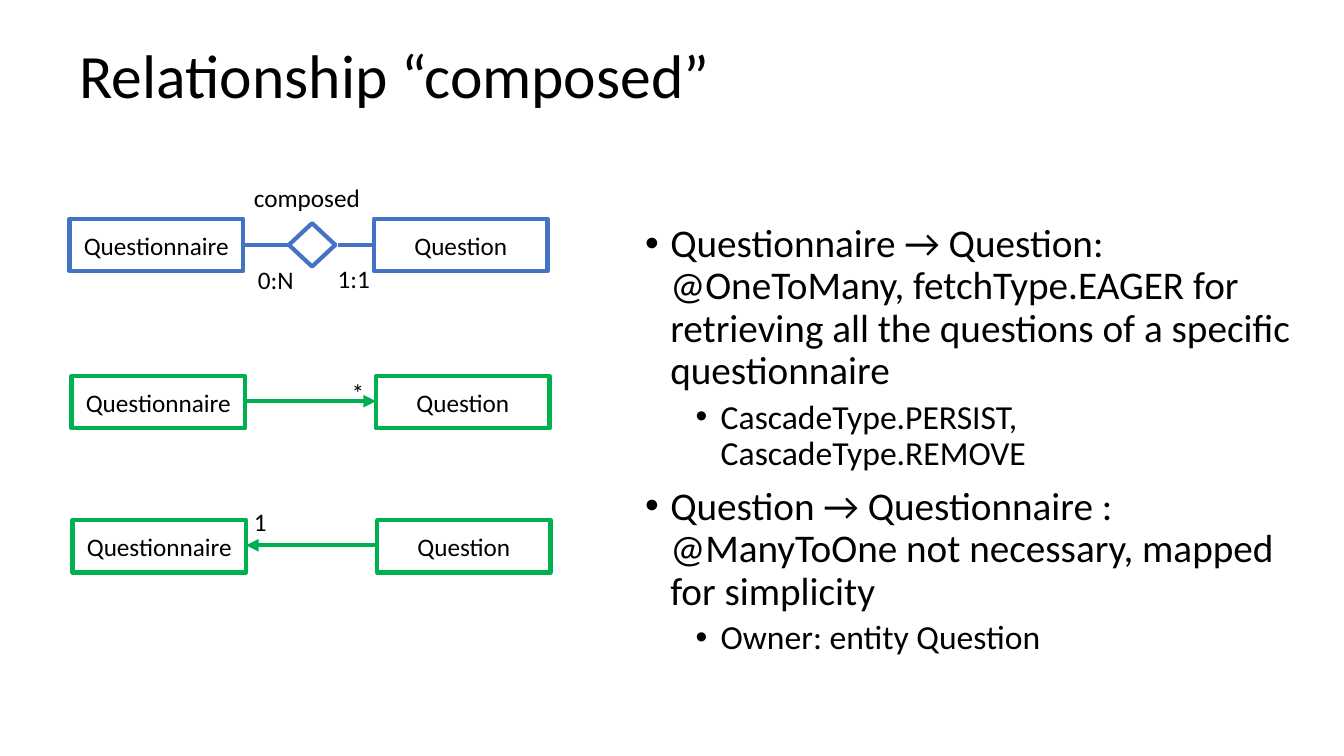
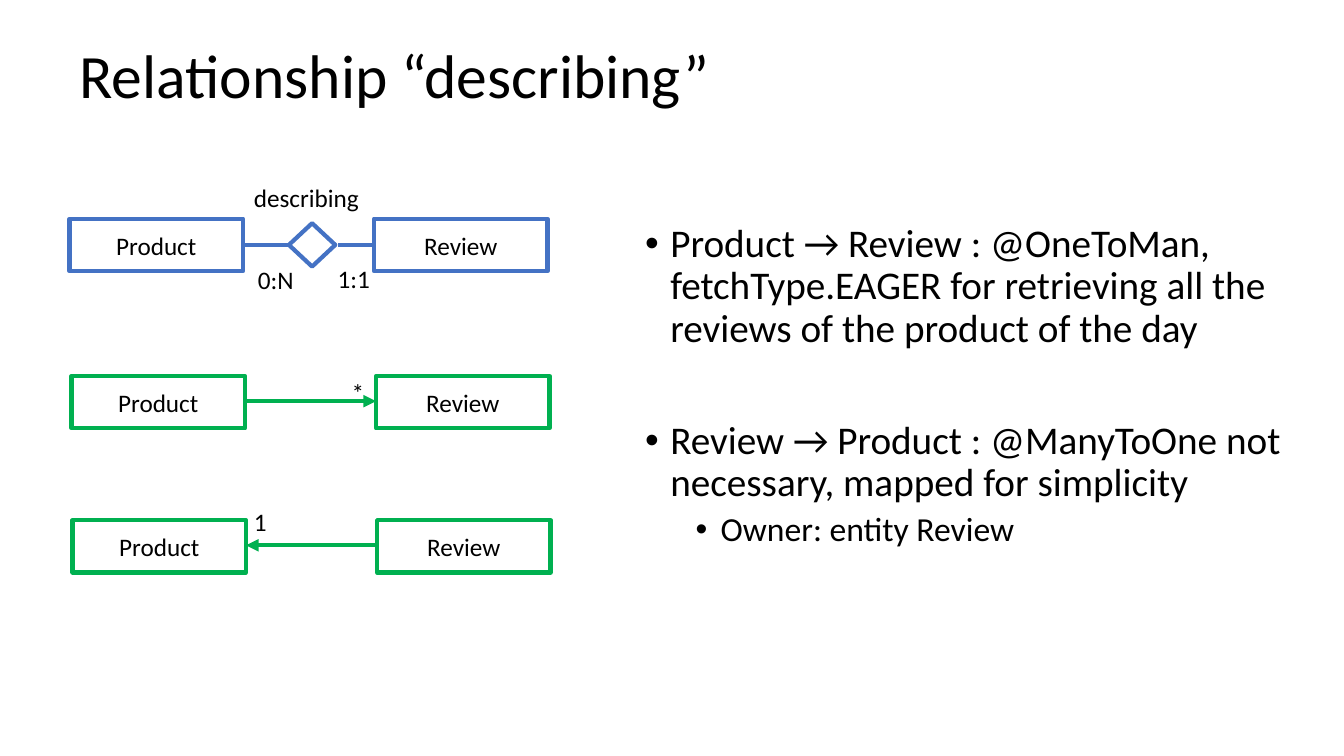
import pptx
import pptx.util
import pptx.dml.color
import pptx.enum.shapes
import pptx.enum.text
import pptx.oxml
import pptx.oxml.ns

Inches = pptx.util.Inches
Pt = pptx.util.Pt
FONT = "Calibri"
BLACK, WHITE, BLUE, GREEN = "000000", "FFFFFF", "4472C4", "00B050"
NODE_WIDTH, NODE_HEIGHT, NODE_STEP = 1.72, 0.52, 3.02
LEVELS = [
    {"size": 28, "indent": 0.25, "space": 10},
    {"size": 24, "indent": 0.75, "space": 5},
]


def color(value):
    """Turn a hex string into a colour."""
    return pptx.dml.color.RGBColor.from_string(value)


def add_element(parent, tag, **attributes):
    """Append a drawing element with attributes to a parent element."""
    element = pptx.oxml.parse_xml(f"<a:{tag} {pptx.oxml.ns.nsdecls('a')}/>")
    for name, value in attributes.items():
        element.set(name, str(value))
    parent.append(element)


def write(paragraph, text, size=18, align=None, spacing=None, before=None):
    """Write formatted text into a paragraph."""
    run = paragraph.add_run()
    run.text = text
    run.font.name = FONT
    run.font.size = Pt(size)
    run.font.color.rgb = color(BLACK)
    paragraph.alignment = align
    paragraph.line_spacing = spacing
    if before is not None:
        paragraph.space_before = Pt(before)


def add_text_box(slide, left, top, width, height, wrap=True):
    """Add an empty text box and return its text frame."""
    box = slide.shapes.add_textbox(Inches(left), Inches(top), Inches(width), Inches(height))
    box.text_frame.word_wrap = wrap
    return box.text_frame


def add_label(slide, text, left, top, width):
    """Add a small unwrapped diagram label."""
    frame = add_text_box(slide, left, top, width, 0.4, wrap=False)
    frame.auto_size = pptx.enum.text.MSO_AUTO_SIZE.SHAPE_TO_FIT_TEXT
    write(frame.paragraphs[0], text)


def add_outline(slide, kind, left, top, width, height, line, fill=None):
    """Add an outlined preset shape."""
    shape = slide.shapes.add_shape(kind, Inches(left), Inches(top), Inches(width), Inches(height))
    shape.shadow.inherit = False
    if fill:
        shape.fill.solid()
        shape.fill.fore_color.rgb = color(fill)
    else:
        shape.fill.background()
    shape.line.color.rgb = color(line)
    shape.line.width = Pt(3)
    return shape


def add_line(slide, start, end, y, line, width, arrow=False):
    """Add a horizontal line, with an arrowhead at its end if asked."""
    connector = slide.shapes.add_connector(
        pptx.enum.shapes.MSO_CONNECTOR.STRAIGHT, Inches(start), Inches(y), Inches(end), Inches(y))
    connector.line.color.rgb = color(line)
    connector.line.width = Pt(width)
    if arrow:
        add_element(connector.line._get_or_add_ln(), "tailEnd", type="triangle")
    add_element(connector._element.spPr, "effectLst")


def add_entities(slide, names, left, top, line, fill=None):
    """Add the pair of entity rectangles of one diagram row."""
    for index, name in enumerate(names):
        node = add_outline(slide, pptx.enum.shapes.MSO_SHAPE.RECTANGLE,
                           left + index * NODE_STEP, top, NODE_WIDTH, NODE_HEIGHT, line, fill)
        node.text_frame.word_wrap = True
        node.text_frame.vertical_anchor = pptx.enum.text.MSO_ANCHOR.MIDDLE
        write(node.text_frame.paragraphs[0], name, align=pptx.enum.text.PP_ALIGN.CENTER)


def add_relationship(slide, names, relation, left, top):
    """Add the entity-relationship row with its diamond and cardinalities."""
    add_entities(slide, names, left, top, BLUE, WHITE)
    diamond = add_outline(slide, pptx.enum.shapes.MSO_SHAPE.DIAMOND,
                          left + 2.19, top + 0.03, 0.43, 0.46, BLUE, WHITE)
    diamond.rotation = 90
    middle = top + NODE_HEIGHT / 2
    add_line(slide, left + NODE_STEP, left + 2.66, middle, BLUE, 2.25)
    add_line(slide, left + 2.17, left + NODE_WIDTH, middle, BLUE, 2.25)
    add_label(slide, "1:1", left + 2.56, top + 0.39, 0.53)
    add_label(slide, "0:N", left + 1.77, top + 0.4, 0.56)
    add_label(slide, relation, left + 1.73, top - 0.41, 1.27)


def add_direction(slide, names, left, top, forward):
    """Add a row whose arrow shows one direction of the mapping."""
    add_entities(slide, names, left, top, GREEN)
    ends = (left + NODE_WIDTH, left + NODE_STEP)
    start, end = ends if forward else ends[::-1]
    add_line(slide, start, end, top + 0.25, GREEN, 3, arrow=True)
    if forward:
        add_label(slide, "*", left + 2.68, top - 0.04, 0.33)
    else:
        add_label(slide, "1", left + 1.7, top - 0.19, 0.33)


def add_title(slide, text, left, top, width, height):
    """Add the slide title."""
    frame = add_text_box(slide, left, top, width, height)
    write(frame.paragraphs[0], text, size=44, spacing=0.9)


def add_bullets(slide, bullets, left, top, width, height):
    """Add bullets given as level, text and extra space before."""
    frame = add_text_box(slide, left, top, width, height)
    for index, (level, text, extra) in enumerate(bullets):
        paragraph = frame.add_paragraph() if index else frame.paragraphs[0]
        style = LEVELS[level]
        write(paragraph, text, size=style["size"], spacing=0.9, before=style["space"] + extra)
        paragraph.level = level
        properties = paragraph._p.get_or_add_pPr()
        properties.set("marL", str(Inches(style["indent"])))
        properties.set("indent", str(-Inches(0.25)))
        add_element(properties, "buFont", typeface="Arial")
        add_element(properties, "buChar", char="•")


def add_relationship_slide(presentation, relation, names, bullets):
    """Add one slide that explains a relationship between two entities."""
    slide = presentation.slides.add_slide(presentation.slide_layouts[6])
    add_title(slide, f"Relationship “{relation}”", 0.69, 0.4, 8.62, 0.79)
    add_bullets(slide, bullets, 6.3, 2.17, 6.65, 4.66)
    add_relationship(slide, names, relation, 0.69, 2.17)
    add_direction(slide, names, 0.71, 3.73, forward=True)
    add_direction(slide, names, 0.72, 5.16, forward=False)


def main():
    """Build and save the presentation."""
    presentation = pptx.Presentation()
    presentation.slide_width = Inches(13.33)
    presentation.slide_height = Inches(7.5)
    add_relationship_slide(presentation, "composed", ("Questionnaire", "Question"), [
        (0, "Questionnaire → Question: @OneToMany, fetchType.EAGER for retrieving "
            "all the questions of a specific questionnaire", 0),
        (1, "CascadeType.PERSIST, CascadeType.REMOVE", 0),
        (0, "Question → Questionnaire : @ManyToOne not necessary, mapped for simplicity", 0),
        (1, "Owner: entity Question", 0),
    ])
    add_relationship_slide(presentation, "describing", ("Product", "Review"), [
        (0, "Product → Review : @OneToMan, fetchType.EAGER for retrieving "
            "all the reviews of the product of the day", 0),
        (0, "Review → Product : @ManyToOne not necessary, mapped for simplicity", 40),
        (1, "Owner: entity Review", 0),
    ])
    presentation.save("out.pptx")


main()
